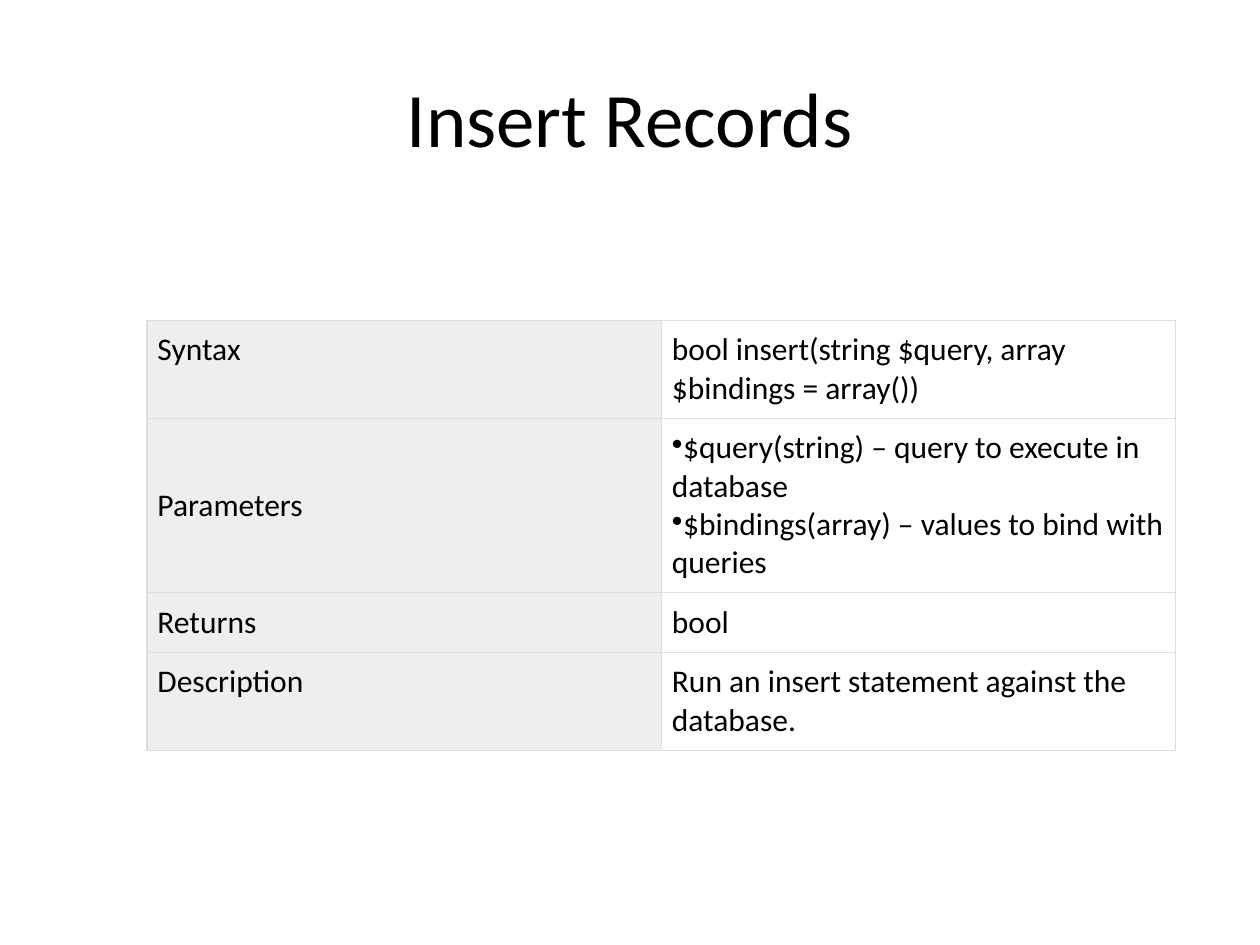
from lxml.etree import SubElement
from pptx import Presentation
from pptx.dml.color import RGBColor
from pptx.enum.text import MSO_ANCHOR as Anchor, PP_ALIGN as Align
from pptx.oxml import parse_xml
from pptx.oxml.ns import nsdecls, qn
from pptx.util import Pt

TITLE = "Insert Records"
ROWS = [
    ("Syntax", ["bool insert(string $query, array $bindings = array())"], 54),
    ("Parameters", ["$query(string) – query to execute in database",
                    "$bindings(array) – values to bind with queries"], 96.5),
    ("Returns", ["bool"], 33),
    ("Description", ["Run an insert statement against the database."], 54),
]
TITLE_BOX = {"left": 36, "top": 21.6, "width": 648, "height": 90}
TABLE_LEFT, TABLE_TOP, COLUMN_WIDTH = 84, 183, 294
CELL_FORMAT = {"margin_left": Pt(6), "margin_right": Pt(6),
               "margin_top": Pt(6), "margin_bottom": Pt(6)}
BLACK, LABEL_FILL, BORDER = "000000", "EEEEEE", "DDDDDD"


def color(value):
    return RGBColor.from_string(value)


def set_attributes(target, values):
    for name, value in values.items():
        setattr(target, name, value)


def format_font(font, size):
    set_attributes(font, {"name": "Calibri", "size": Pt(size), "bold": False})
    font.color.rgb = color(BLACK)


def add_borders(cell):
    properties = cell._tc.get_or_add_tcPr()
    for index, side in enumerate(("lnL", "lnR", "lnT", "lnB")):
        properties.insert(index, parse_xml(
            f'<a:{side} {nsdecls("a")} w="{Pt(0.75)}"><a:solidFill>'
            f'<a:srgbClr val="{BORDER}"/></a:solidFill></a:{side}>'))


def fill_cell(cell, lines, fill=None):
    set_attributes(cell, CELL_FORMAT)
    if fill:
        cell.fill.solid()
        cell.fill.fore_color.rgb = color(fill)
    else:
        cell.fill.background()
    add_borders(cell)
    cell.text = "\n".join(lines)
    for paragraph in cell.text_frame.paragraphs:
        paragraph.alignment = Align.LEFT
        format_font(paragraph.runs[0].font, 18)
        if len(lines) > 1:
            SubElement(paragraph._p.get_or_add_pPr(), qn("a:buChar"), char="•")


presentation = Presentation()
set_attributes(presentation, {"slide_width": Pt(720), "slide_height": Pt(540)})
slide = presentation.slides.add_slide(presentation.slide_layouts[5])

title = slide.shapes.title
set_attributes(title, {name: Pt(value) for name, value in TITLE_BOX.items()})
title.text = TITLE
title.text_frame.vertical_anchor = Anchor.MIDDLE
title.text_frame.paragraphs[0].alignment = Align.CENTER
format_font(title.text_frame.paragraphs[0].runs[0].font, 44)

table = slide.shapes.add_table(
    len(ROWS), 2, Pt(TABLE_LEFT), Pt(TABLE_TOP), Pt(2 * COLUMN_WIDTH),
    Pt(sum(height for _, _, height in ROWS))).table
set_attributes(table, {"first_row": False, "horz_banding": False})
for column in table.columns:
    column.width = Pt(COLUMN_WIDTH)
for index, (label, lines, height) in enumerate(ROWS):
    table.rows[index].height = Pt(height)
    fill_cell(table.cell(index, 0), [label], LABEL_FILL)
    fill_cell(table.cell(index, 1), lines)
    if label == "Parameters":
        table.cell(index, 0).vertical_anchor = Anchor.MIDDLE

presentation.save("out.pptx")
